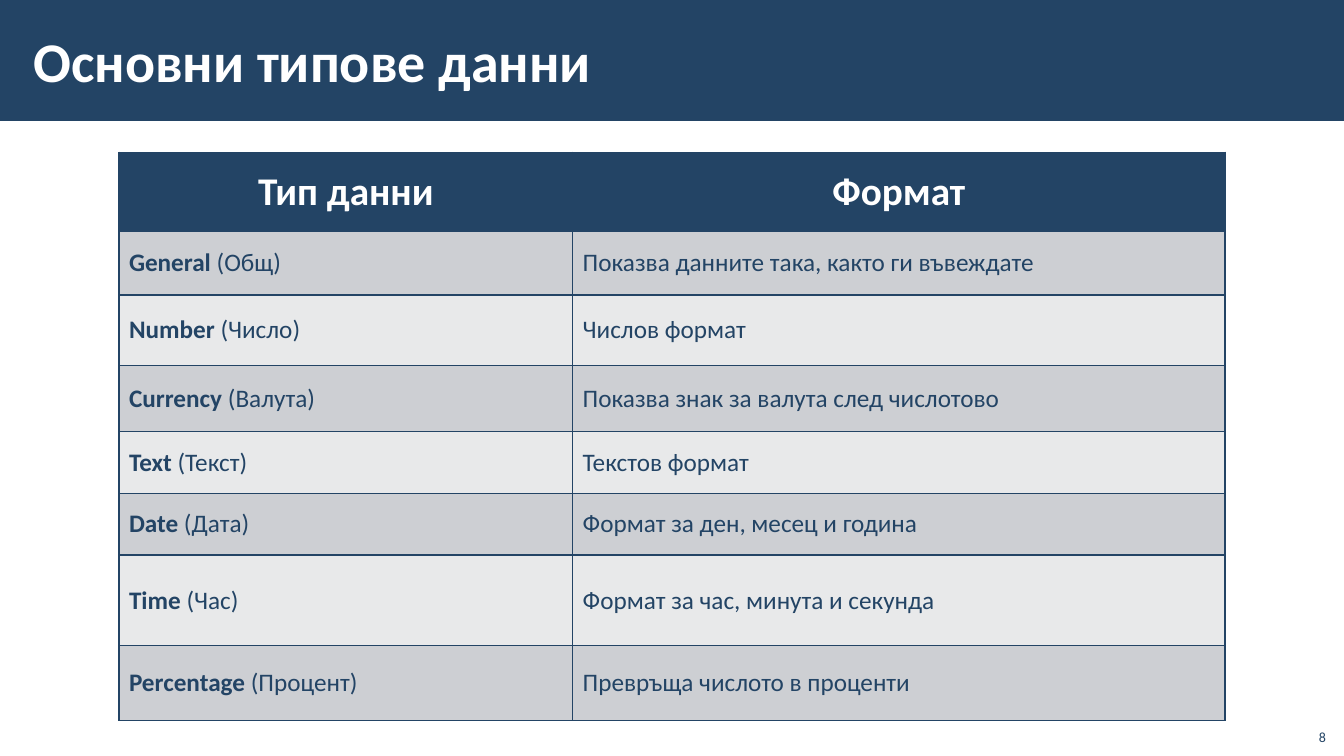
from dataclasses import dataclass

from pptx import Presentation
from pptx.dml.color import RGBColor as Color
from pptx.enum.shapes import MSO_SHAPE as Shape
from pptx.enum.text import MSO_ANCHOR as Anchor, PP_ALIGN as Align
from pptx.oxml import parse_xml
from pptx.oxml.ns import nsdecls
from pptx.util import Inches, Pt


@dataclass(frozen=True)
class Theme:
    font: str = "Calibri"
    navy: str = "234465"
    white: str = "FFFFFF"
    bands: tuple = ("CDCFD3", "E8E9EA")
    title: int = 40
    head: int = 28
    body: int = 18
    page: int = 10
    rule: int = 1


class Deck:
    """Draws on one slide; lengths are percent of its width and height."""

    def __init__(self, theme):
        self.theme = theme
        self.prs = Presentation()
        self.prs.slide_width = Inches(13.33)
        self.prs.slide_height = Inches(7.5)
        self.slide = self.prs.slides.add_slide(self.prs.slide_layouts[5])

    def wide(self, share):
        return round(self.prs.slide_width * share / 100)

    def high(self, share):
        return round(self.prs.slide_height * share / 100)

    def box(self, left, top, width, height):
        return self.wide(left), self.high(top), self.wide(width), self.high(height)

    def text(self, frame, runs, size, color, align=Align.LEFT):
        """Fill the first paragraph with (text, bold) runs."""
        para = frame.paragraphs[0]
        para.alignment = align
        for words, bold in runs:
            run = para.add_run()
            run.text = words
            font = run.font
            font.name, font.size, font.bold = self.theme.font, Pt(size), bold
            font.color.rgb = Color.from_string(color)

    def band(self, *area):
        """Draw the bar that lies behind the title."""
        bar = self.slide.shapes.add_shape(Shape.RECTANGLE, *self.box(*area))
        bar.shadow.inherit = False
        bar.fill.solid()
        bar.fill.fore_color.rgb = Color.from_string(self.theme.navy)
        bar.line.fill.background()
        self.slide.shapes.title.element.addprevious(bar.element)

    def title(self, words, *area):
        head = self.slide.shapes.title
        head.left, head.top, head.width, head.height = self.box(*area)
        frame = head.text_frame
        frame.vertical_anchor = Anchor.MIDDLE
        frame.margin_left = frame.margin_right = Inches(0.12)
        frame.margin_top = frame.margin_bottom = Inches(0.04)
        self.text(frame, [(words, True)], self.theme.title, self.theme.white)

    def page(self, words, *area):
        frame = self.slide.shapes.add_textbox(*self.box(*area)).text_frame
        frame.word_wrap = True
        frame.vertical_anchor = Anchor.BOTTOM
        self.text(frame, [(words, False)], self.theme.page, self.theme.navy, Align.RIGHT)

    def cell(self, cell, runs, fill, size, color, align):
        props = cell._tc.get_or_add_tcPr()
        for side in "LRTB":
            props.append(parse_xml(
                f'<a:ln{side} {nsdecls("a")} w="{Pt(self.theme.rule)}"><a:solidFill>'
                f'<a:srgbClr val="{self.theme.navy}"/></a:solidFill></a:ln{side}>'))
        cell.fill.solid()
        cell.fill.fore_color.rgb = Color.from_string(fill)
        cell.vertical_anchor = Anchor.MIDDLE
        self.text(cell.text_frame, runs, size, color, align)

    def table(self, left, top, cols, rows, heads, data):
        look = self.theme
        area = self.box(left, top, sum(cols), sum(rows))
        grid = self.slide.shapes.add_table(len(rows), len(cols), *area).table
        for col, share in zip(grid.columns, cols):
            col.width = self.wide(share)
        for row, share in zip(grid.rows, rows):
            row.height = self.high(share)
        for x, words in enumerate(heads):
            self.cell(grid.cell(0, x), [(words, True)], look.navy,
                      look.head, look.white, Align.CENTER)
        for y, (name, local, note) in enumerate(data):
            fill = look.bands[y % 2]
            pair = [(name, True), (f" ({local})", False)], [(note, False)]
            for x, runs in enumerate(pair):
                self.cell(grid.cell(y + 1, x), runs, fill,
                          look.body, look.navy, Align.LEFT)


TYPES = [
    ("General", "Общ", "Показва данните така, както ги въвеждате"),
    ("Number", "Число", "Числов формат"),
    ("Currency", "Валута", "Показва знак за валута след числотово"),
    ("Text", "Текст", "Текстов формат"),
    ("Date", "Дата", "Формат за ден, месец и година"),
    ("Time", "Час", "Формат за час, минута и секунда"),
    ("Percentage", "Процент", "Превръща числото в проценти"),
]


def main():
    deck = Deck(Theme())
    deck.band(0, 0, 100, 16)
    deck.title("Основни типове данни", 1.58, 1.47, 84.25, 12.93)
    deck.table(8.85, 20.13, (33.76, 48.54),
               (10.5, 8.4, 9.3, 8.8, 8.15, 8.15, 12, 9.85),
               ("Тип данни", "Формат"), TYPES)
    deck.page("8", 96.4, 94.93, 3, 4.27)
    deck.prs.save("out.pptx")


if __name__ == "__main__":
    main()
